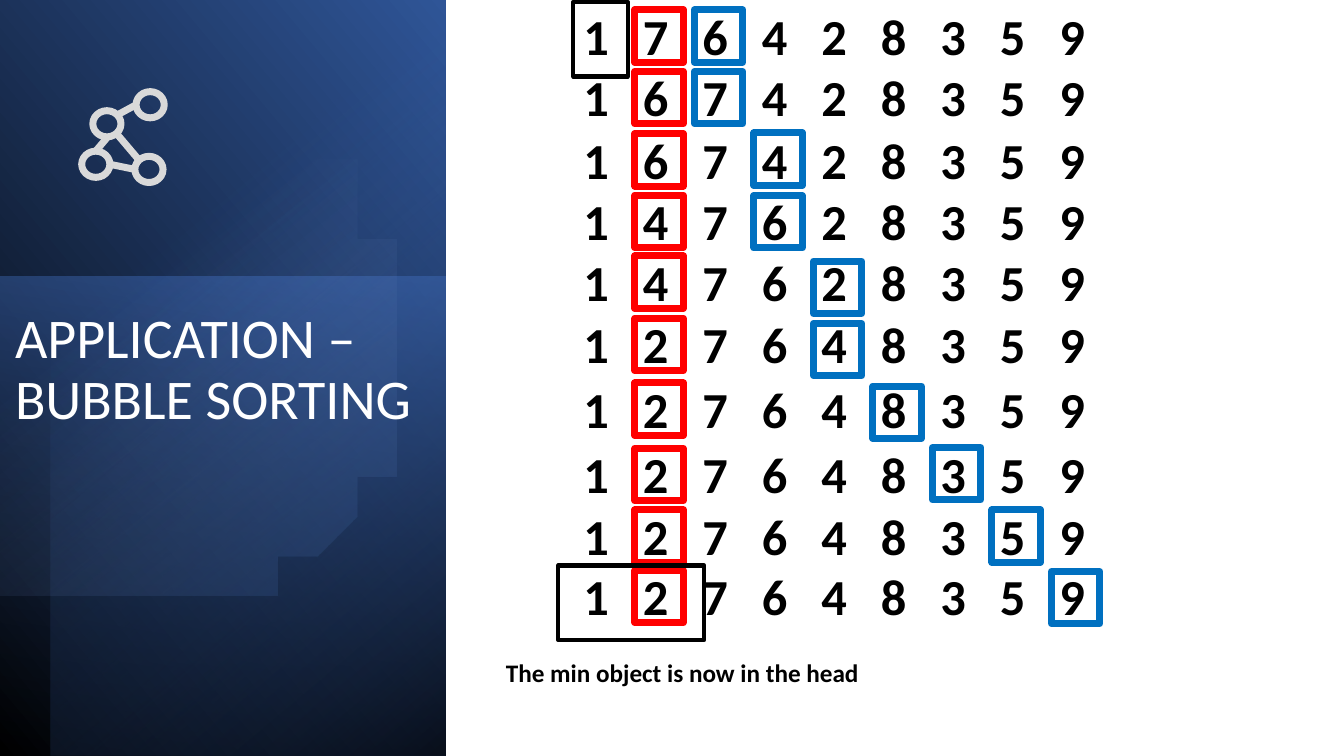
import dataclasses
import math

import lxml.etree
import pptx
import pptx.dml.color
import pptx.enum.shapes
import pptx.oxml.ns
import pptx.util

Cm = pptx.util.Cm
qn = pptx.oxml.ns.qn
SHAPE = pptx.enum.shapes.MSO_SHAPE


@dataclasses.dataclass(frozen=True)
class Theme:
    """Fonts, sizes and colours of the slide."""
    font: str = "Calibri"
    title: int = 40
    digits: int = 36
    note: int = 18
    thick: int = 5
    thin: int = 3
    white: str = "FFFFFF"
    black: str = "000000"
    icon: str = "D9D9D9"
    head: str = "FF0000"
    scan: str = "0070C0"
    navy: str = "203864"
    deep: str = "2F5597"
    mid: str = "4472C4"
    pale: str = "8FAADC"


class Canvas:
    """The current slide together with its theme."""

    def __init__(self, s, theme):
        self.s = s
        self.theme = theme

    def paint(self, sp, stops, angle):
        """Fill a shape with (position, colour, opacity) stops."""
        sp.shadow.inherit = False
        sp.line.fill.background()
        sp.fill.gradient()
        sp.fill.gradient_angle = 360 - angle
        gs_lst = sp._element.spPr.find(".//" + qn("a:gsLst"))
        for gs in list(gs_lst):
            gs_lst.remove(gs)
        for pos, color, opacity in stops:
            gs = lxml.etree.SubElement(gs_lst, qn("a:gs"), pos=str(pos * 1000))
            clr = lxml.etree.SubElement(gs, qn("a:srgbClr"), val=color)
            lxml.etree.SubElement(clr, qn("a:alpha"), val=str(opacity * 1000))

    def panel(self, box, stops, angle):
        """Add a gradient rectangle."""
        sp = self.s.shapes.add_shape(SHAPE.RECTANGLE, *map(Cm, box))
        self.paint(sp, stops, angle)

    def disc(self, cx, cy, radius, stops, angle):
        """Add a gradient disc cut off at the left slide edge."""
        limit = math.acos(-cx / radius)
        steps = 120
        angles = [limit * (2 * i / steps - 1) for i in range(steps + 1)]
        points = [(cx + radius * math.cos(a), cy + radius * math.sin(a)) for a in angles]
        builder = self.s.shapes.build_freeform(*points[0], scale=Cm(1))
        builder.add_line_segments(points[1:], close=True)
        self.paint(builder.convert_to_shape(), stops, angle)

    def outline(self, box, color, width, kind=SHAPE.RECTANGLE, parent=None):
        """Add an unfilled shape."""
        sp = (parent or self.s).shapes.add_shape(kind, *map(Cm, box))
        sp.shadow.inherit = False
        sp.fill.background()
        sp.line.color.rgb = pptx.dml.color.RGBColor.from_string(color)
        sp.line.width = pptx.util.Pt(width)

    def line(self, ends, color, width, parent):
        """Add a straight line to a group."""
        kind = pptx.enum.shapes.MSO_CONNECTOR.STRAIGHT
        cn = parent.shapes.add_connector(kind, *map(Cm, ends))
        cn.line.color.rgb = pptx.dml.color.RGBColor.from_string(color)
        cn.line.width = pptx.util.Pt(width)
        lxml.etree.SubElement(cn._element.spPr, qn("a:effectLst"))

    def text(self, box, text, size, color, bold=False, spacing=None, tabs=()):
        """Add a one-paragraph text box."""
        tf = self.s.shapes.add_textbox(*map(Cm, box)).text_frame
        tf.word_wrap = True
        tf.text = text
        p = tf.paragraphs[0]
        if spacing:
            p.line_spacing = spacing
        if tabs:
            tab_lst = lxml.etree.SubElement(p._p.get_or_add_pPr(), qn("a:tabLst"))
            for pos in tabs:
                lxml.etree.SubElement(tab_lst, qn("a:tab"), pos=str(Cm(pos)), algn="l")
        for r in p.runs:
            r.font.name = self.theme.font
            r.font.size = pptx.util.Pt(size)
            r.font.bold = bold
            r.font.color.rgb = pptx.dml.color.RGBColor.from_string(color)

    def icon(self, nodes, edges):
        """Add the group of linked rings."""
        group = self.s.shapes.add_group_shape()
        style = self.theme.icon, self.theme.thick
        for x, y in nodes:
            self.outline((x, y, 0.71, 0.66), *style, SHAPE.OVAL, group)
        for ends in edges:
            self.line(ends, *style, group)


PITCH = 1.5
FRAME_LEFT = 14.5
FRAME_SIZE = 1.22, 1.32
PASSES = [
    ("176428359", 0, 2, 0.25),
    ("167428359", 1.55, 2, 1.8),
    ("167428359", 3.12, 3, 3.35),
    ("147628359", 4.67, 3, 4.93),
    ("147628359", 6.2, 4, 6.58),
    ("127648359", 7.77, 4, 8.15),
    ("127648359", 9.4, 5, 9.73),
    ("127648359", 11.05, 6, 11.28),
    ("127648359", 12.6, 7, 12.85),
    ("127648359", 14.12, 8, 14.4),
]
ICON_NODES = [(2.06, 3.81), (2.34, 2.79), (3.4, 3.94), (3.43, 2.31)]
ICON_EDGES = [
    (2.41, 3.81, 2.69, 3.48),
    (2.95, 3.38, 3.51, 4.04),
    (2.77, 4.14, 3.4, 4.27),
    (2.95, 2.9, 3.43, 2.64),
]


def main():
    """Build the bubble sorting slide."""
    prs = pptx.Presentation()
    prs.slide_width, prs.slide_height = Cm(33.87), Cm(19.05)
    t = Theme()
    c = Canvas(prs.slides.add_slide(prs.slide_layouts[6]), t)

    c.panel((0, 0, 11.23, 19.05), [(0, t.black, 100), (100, t.deep, 100)], 320)
    c.panel((0, 6.96, 11.23, 12.09), [(0, t.mid, 50), (100, t.navy, 0)], 100)
    c.panel((1.27, 0, 9.96, 19.05), [(0, t.black, 59), (69, t.mid, 0)], 230)
    c.disc(3.63, 8.82, 6.68, [(39, t.pale, 0), (100, t.deep, 26)], 52)
    c.text((0.13, 7.7, 11.07, 8.53), "APPLICATION – BUBBLE SORTING",
           t.title, t.white, spacing=0.9)
    c.icon(ICON_NODES, ICON_EDGES)

    for digits, top, scan, scan_top in PASSES:
        tabs = [PITCH * i for i in range(1, len(digits))]
        c.text((14.45, top, 13.5, 1.8), "\t".join(digits),
               t.digits, t.black, bold=True, tabs=tabs)
        for column, y, color in ((1, top + 0.25, t.head), (scan, scan_top, t.scan)):
            c.outline((FRAME_LEFT + PITCH * column, y, *FRAME_SIZE), color, t.thick)

    c.text((12.5, 16.43, 9.47, 1.02), "The min object is now in the head",
           t.note, t.black, bold=True)
    c.outline((14.07, 14.25, 3.68, 1.88), t.black, t.thin)
    c.outline((14.45, 0.05, 1.37, 1.88), t.black, t.thin)
    prs.save("out.pptx")


if __name__ == "__main__":
    main()
